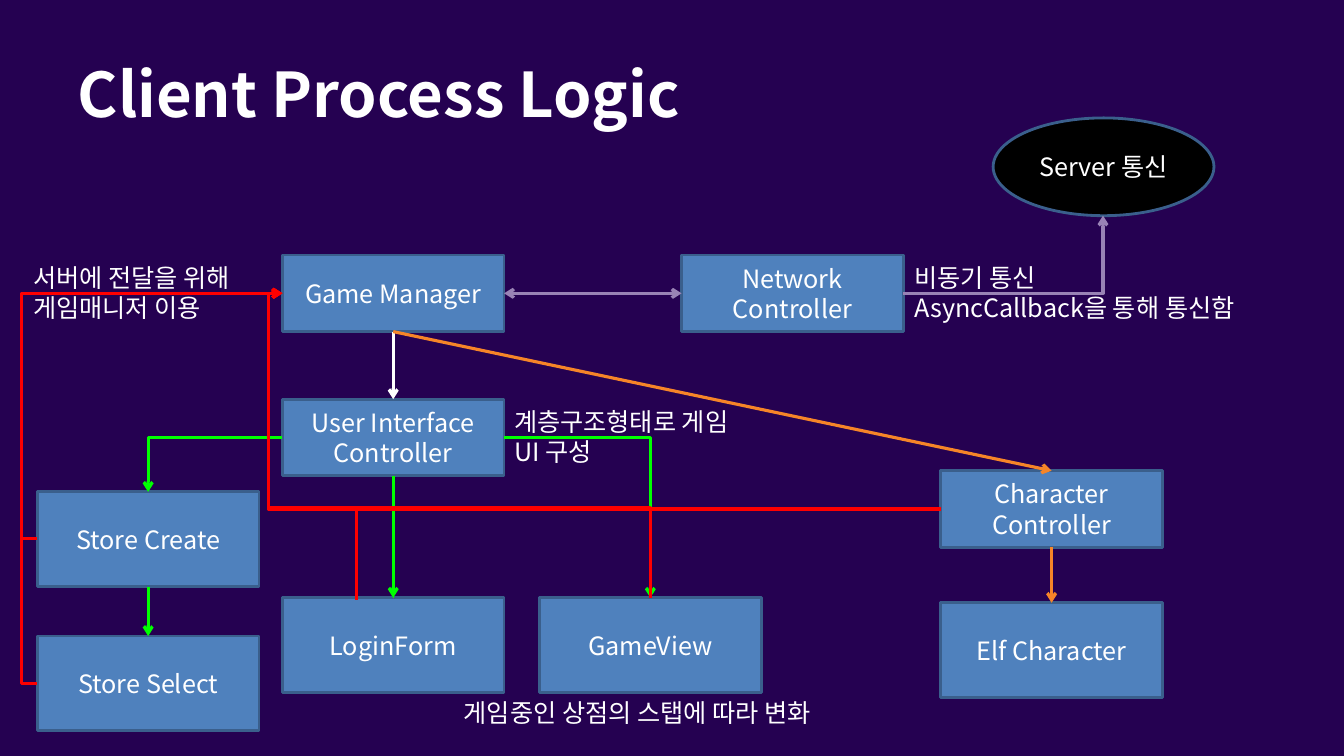
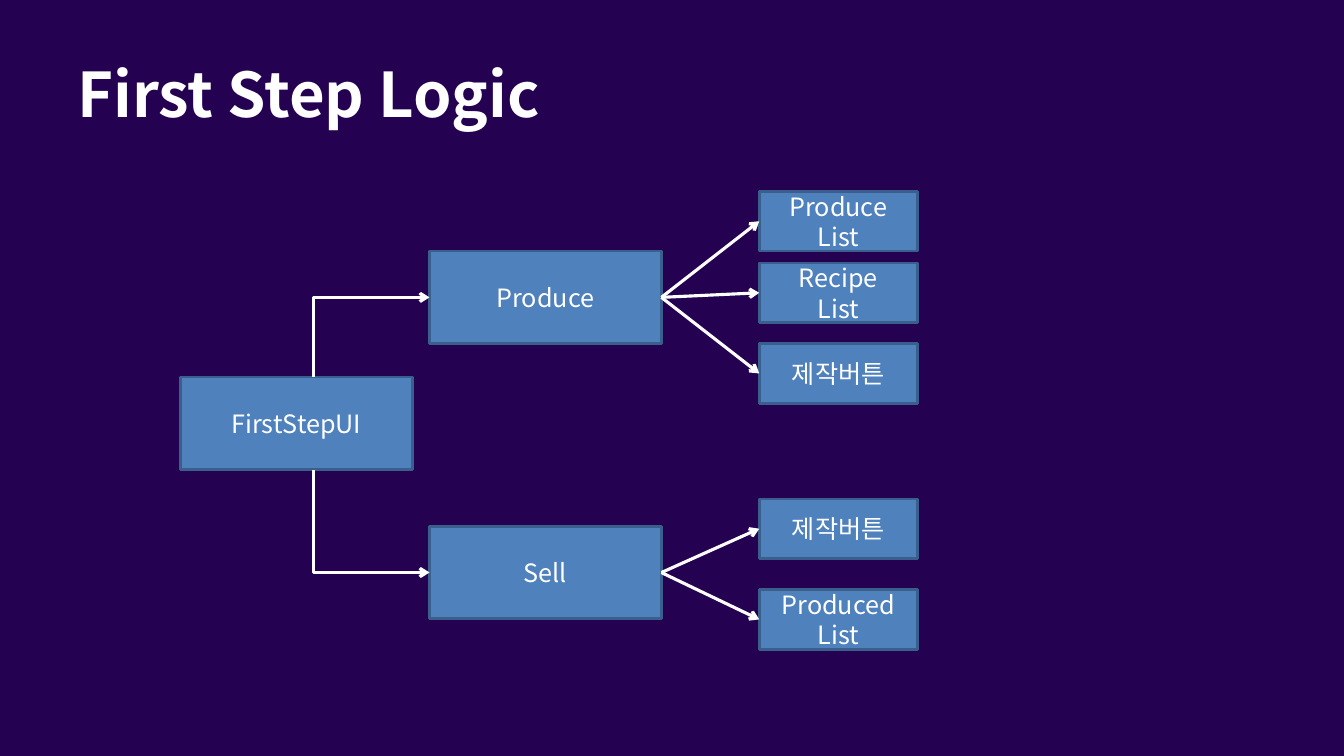
from lxml.etree import SubElement
from pptx import Presentation
from pptx.dml.color import RGBColor
from pptx.enum.shapes import MSO_CONNECTOR, MSO_SHAPE
from pptx.enum.text import MSO_ANCHOR, MSO_AUTO_SIZE, PP_ALIGN
from pptx.oxml.ns import qn
from pptx.util import Inches, Pt

NIGHT = RGBColor(0x25, 0x01, 0x51)
WHITE = RGBColor(0xFF, 0xFF, 0xFF)
BLACK = RGBColor(0x00, 0x00, 0x00)
BLUE = RGBColor(0x4F, 0x81, 0xBD)
EDGE = RGBColor(0x3A, 0x5F, 0x8C)
LILAC = RGBColor(0x99, 0x83, 0xB5)
ORANGE = RGBColor(0xF6, 0x85, 0x28)
GREEN = RGBColor(0x00, 0xFF, 0x00)
RED = RGBColor(0xFF, 0x00, 0x00)

FACE = "Noto Sans CJK KR"
HEAD = {"name": FACE, "size": Pt(44), "bold": True}
BODY = {"name": FACE, "size": Pt(18)}
TOP, LEFT, BOTTOM, RIGHT = range(4)
ROW = 2.91
LANE = 2.66
RAIL = 0.21
BUS = 5.04


def write(frame, text, style, align):
    frame.word_wrap = True
    frame.text = text
    for para in frame.paragraphs:
        para.alignment = align
        for run in para.runs:
            for key, value in style.items():
                setattr(run.font, key, value)
            run.font.color.rgb = WHITE
            props = run._r.get_or_add_rPr()
            SubElement(props, qn("a:ea")).set("typeface", FACE)


def setup(deck):
    deck.slide_width = Inches(13.33)
    deck.slide_height = Inches(7.5)
    fill = deck.slide_master.background.fill
    fill.solid()
    fill.fore_color.rgb = NIGHT


def page(deck, text):
    slide = deck.slides.add_slide(deck.slide_layouts[5])
    title = slide.shapes.title
    area = {"left": 0.67, "top": 0.3, "width": 12, "height": 1.25}
    for key, value in area.items():
        setattr(title, key, Inches(value))
    title.text_frame.vertical_anchor = MSO_ANCHOR.MIDDLE
    write(title.text_frame, text, HEAD, PP_ALIGN.LEFT)
    return slide


def box(slide, text, x, y, size, kind=MSO_SHAPE.RECTANGLE, fill=BLUE):
    shape = slide.shapes.add_shape(kind, Inches(x), Inches(y), *map(Inches, size))
    shape.shadow.inherit = False
    shape.fill.solid()
    shape.fill.fore_color.rgb = fill
    shape.line.color.rgb = EDGE
    shape.line.width = Pt(2)
    shape.text_frame.vertical_anchor = MSO_ANCHOR.MIDDLE
    write(shape.text_frame, text, BODY, PP_ALIGN.CENTER)
    return shape


def note(slide, text, x, y, width, height):
    shape = slide.shapes.add_textbox(*map(Inches, (x, y, width, height)))
    shape.text_frame.auto_size = MSO_AUTO_SIZE.SHAPE_TO_FIT_TEXT
    write(shape.text_frame, text, BODY, PP_ALIGN.LEFT)


def wire(slide, kind, start, end, color, tips, width=2.25):
    line = slide.shapes.add_connector(kind, *map(Inches, (*start, *end)))
    line.line.color.rgb = color
    line.line.width = Pt(width)
    props = line._element.find(qn("p:spPr"))
    for tip in tips:
        SubElement(props.find(qn("a:ln")), qn(f"a:{tip}")).set("type", "arrow")
    SubElement(props, qn("a:effectLst"))
    return line


def link(slide, first, side, last, goal, color, tips=("tailEnd",)):
    line = wire(slide, MSO_CONNECTOR.STRAIGHT, (0, 0), (0, 0), color, tips)
    line.begin_connect(first, side)
    line.end_connect(last, goal)


def bend(slide, start, end, color, turns=(), tip="headEnd", width=2.25):
    line = wire(slide, MSO_CONNECTOR.ELBOW, start, end, color, [tip], width)
    geom = line._element.find(qn("p:spPr")).find(qn("a:prstGeom"))
    geom.set("prst", f"bentConnector{len(turns) + 2}")
    guides = geom.find(qn("a:avLst"))
    for axis, turn in enumerate(turns):
        ratio = (turn - start[axis]) / (end[axis] - start[axis])
        guide = SubElement(guides, qn("a:gd"))
        guide.set("name", f"adj{axis + 1}")
        guide.set("fmla", f"val {round(ratio * 100000)}")


def client(deck):
    slide = page(deck, "Client Process Logic")
    low, tall = (2.2, 0.76), (2.2, 0.94)
    game = box(slide, "Game Manager", 2.8, 2.53, low)
    net = box(slide, "Network\nController", 6.76, 2.53, low)
    box(slide, "Server 통신", 9.85, 1.17, (2.19, 0.97), MSO_SHAPE.OVAL, BLACK)
    hero = box(slide, "Character Controller", 9.33, 4.67, low)
    panel = box(slide, "User Interface\nController", 2.8, 3.96, low)
    elf = box(slide, "Elf Character", 9.33, 5.98, tall)
    store = box(slide, "Store Create", 0.37, 4.88, tall)
    login = box(slide, "LoginForm", 2.8, 5.93, tall)
    pick = box(slide, "Store Select", 0.37, 6.31, tall)
    box(slide, "GameView", 5.35, 5.93, tall)

    link(slide, game, RIGHT, net, LEFT, LILAC, ("headEnd", "tailEnd"))
    for first, last, color in (
        (game, panel, WHITE),
        (game, hero, ORANGE),
        (hero, elf, ORANGE),
        (panel, login, GREEN),
        (store, pick, GREEN),
    ):
        link(slide, first, BOTTOM, last, TOP, color)

    for start, end, color in (
        ((8.96, ROW), (10.94, 2.14), LILAC),
        ((2.8, 4.34), (1.47, 4.88), GREEN),
        ((5, 4.34), (6.45, 5.93), GREEN),
    ):
        bend(slide, start, end, color, tip="tailEnd")

    port = (2.8, ROW)
    bend(slide, port, (3.9, 5.93), GREEN, (LANE, BUS), width=0.75)
    for end, turns in (
        ((6.45, 5.93), (LANE, BUS)),
        ((3.54, 5.95), (LANE, BUS)),
        ((0.37, 5.34), (RAIL,)),
        ((0.37, 6.78), (RAIL,)),
        ((9.33, 5.05), (LANE,)),
    ):
        bend(slide, port, end, RED, turns)

    note(slide, "서버에 전달을 위해\n게임매니저 이용", 0.23, 2.55, 2.56, 0.7)
    note(slide, "계층구조형태로 게임 UI 구성", 5, 3.98, 2.56, 0.7)
    note(slide, "게임중인 상점의 스탭에 따라 변화", 4.5, 6.87, 4.19, 0.4)
    note(slide, "비동기 통신\nAsyncCallback을 통해 통신함", 8.97, 2.55, 3.63, 0.7)


def step(deck):
    slide = page(deck, "First Step Logic")
    big, small = (2.3, 0.92), (1.57, 0.59)
    box(slide, "FirstStepUI", 1.79, 3.74, big)
    for name, y, edge, items in (
        ("Produce", 2.49, 3.74,
         (("Produce\nList", 1.9), ("Recipe\nList", 2.61), ("제작버튼", 3.41))),
        ("Sell", 5.22, 4.66, (("제작버튼", 4.95), ("Produced\nList", 5.85))),
    ):
        group = box(slide, name, 4.26, y, big)
        bend(slide, (4.26, y + big[1] / 2), (3.11, edge), WHITE)
        for text, top in items:
            leaf = box(slide, text, 7.53, top, small)
            link(slide, group, RIGHT, leaf, LEFT, WHITE)


def main():
    deck = Presentation()
    setup(deck)
    client(deck)
    step(deck)
    deck.save("out.pptx")


if __name__ == "__main__":
    main()
